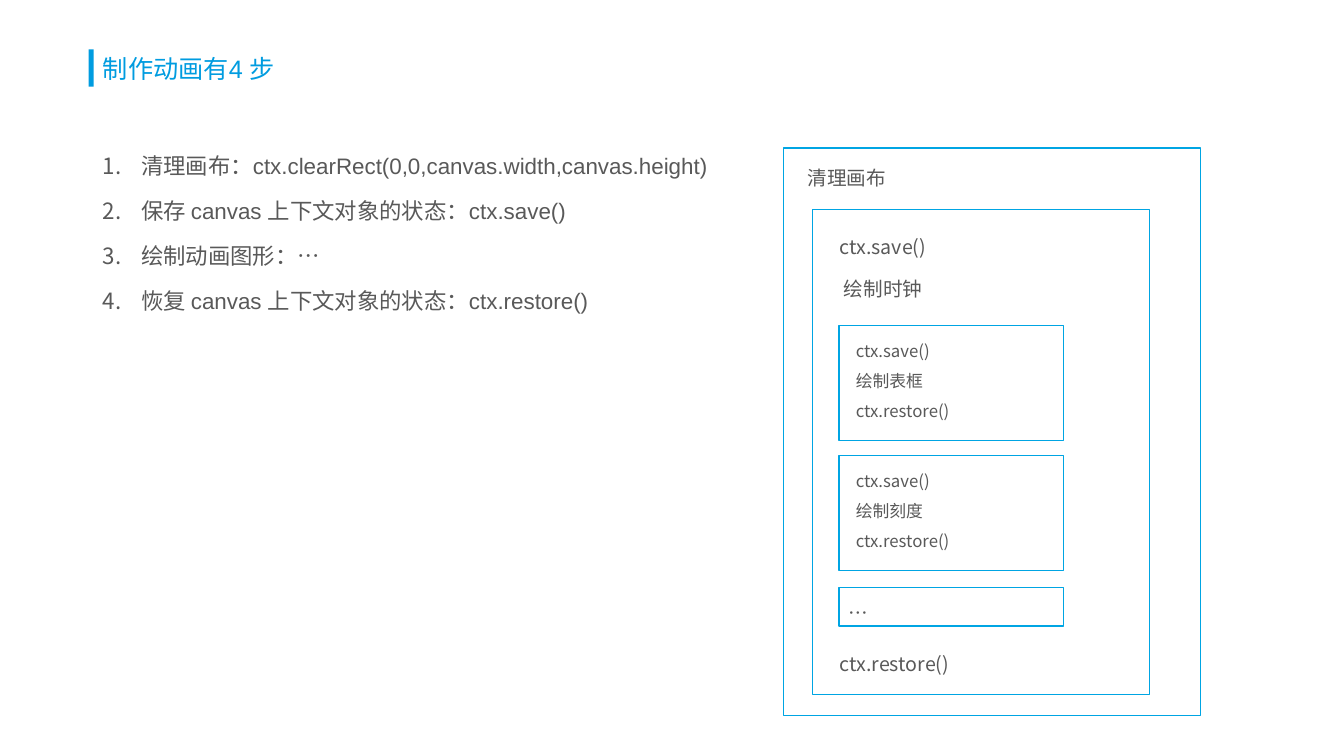
from lxml.etree import SubElement
from pptx import Presentation
from pptx.dml.color import RGBColor
from pptx.enum.shapes import MSO_SHAPE as Preset
from pptx.enum.text import MSO_ANCHOR as Anchor, MSO_AUTO_SIZE as AutoSize, PP_ALIGN as Align
from pptx.oxml.ns import qn
from pptx.util import Inches, Pt

COLORS = {"title": "009CE0", "outline": "00A5E3", "text": "595959"}
CJK_FONT = "Noto Sans CJK SC"
CELL = Inches(0.1)  # one column or row of the grid


class SlideBuilder:
    """Holds the style and the current slide; lengths are grid columns and rows."""

    def __init__(self, presentation):
        self.slide = presentation.slides.add_slide(presentation.slide_layouts[1])

    def place(self, shape, box):
        shape.left, shape.top, shape.width, shape.height = (round(n * CELL) for n in box)

    def add_lines(self, frame, lines, size, font=CJK_FONT, color="text", spacing=None):
        for index, line in enumerate(lines):
            paragraph = frame.paragraphs[0] if index == 0 else frame.add_paragraph()
            paragraph.alignment = Align.LEFT
            paragraph.line_spacing = spacing
            run = paragraph.add_run()
            run.text = line
            run.font.size = Pt(size)
            run.font.name = font
            run.font.color.rgb = RGBColor.from_string(COLORS[color])
            SubElement(run.font._element, qn("a:ea"), typeface=CJK_FONT)

    def title(self, text, box):
        shape = self.slide.shapes.title
        self.place(shape, box)
        shape.text_frame.auto_size = AutoSize.NONE
        shape.text_frame.vertical_anchor = Anchor.MIDDLE
        self.add_lines(shape.text_frame, [text], 18, "Arial", "title", 0.9)

    def numbered_list(self, lines, box):
        shape = self.slide.placeholders[1]
        self.place(shape, box)
        frame = shape.text_frame
        frame.auto_size = AutoSize.NONE
        self.add_lines(frame, lines, 16, "Arial", spacing=1.5)
        for paragraph in frame.paragraphs:
            paragraph.space_before = Pt(3.2)
            properties = paragraph._p.get_or_add_pPr()
            indent = Inches(0.38)
            properties.set("marL", str(indent))
            properties.set("indent", str(-indent))
            SubElement(properties, qn("a:buFont"), typeface=CJK_FONT)
            SubElement(properties, qn("a:buAutoNum"), type="arabicPeriod")

    def rectangle(self, box, fill=None):
        shape = self.slide.shapes.add_shape(Preset.RECTANGLE, 0, 0, 0, 0)
        self.place(shape, box)
        shape.shadow.inherit = False
        if fill:
            shape.fill.solid()
            shape.fill.fore_color.rgb = RGBColor.from_string(COLORS[fill])
            shape.line.fill.background()
        else:
            shape.fill.background()
            shape.line.color.rgb = RGBColor.from_string(COLORS["outline"])
            shape.line.width = Pt(1)
        return shape

    def label(self, lines, box, size=14, wrap=False, spacing=None):
        shape = self.slide.shapes.add_textbox(0, 0, 0, 0)
        self.place(shape, box)
        shape.text_frame.word_wrap = wrap
        shape.text_frame.auto_size = AutoSize.SHAPE_TO_FIT_TEXT
        self.add_lines(shape.text_frame, lines, size, spacing=spacing)


def main():
    presentation = Presentation()
    presentation.slide_width, presentation.slide_height = Inches(13.33), Inches(7.5)
    builder = SlideBuilder(presentation)

    # Title with its accent bar
    builder.rectangle((8.8, 4.9, 0.5, 3.7), "title")
    builder.title("制作动画有4 步", (9.2, 4, 115, 5.9))

    # The four steps
    builder.numbered_list([
        "清理画布：ctx.clearRect(0,0,canvas.width,canvas.height)",
        "保存 canvas 上下文对象的状态：ctx.save()",
        "绘制动画图形：…",
        "恢复 canvas 上下文对象的状态：ctx.restore()",
    ], (9.2, 13.3, 115, 54.3))

    # Nested frames: canvas, then clock
    builder.rectangle((77.7, 14.7, 41.4, 56.3))
    builder.rectangle((80.6, 20.8, 33.4, 48.1))
    for text, left, top, width in [
        ("清理画布", 79.1, 16, 10.5),
        ("ctx.save()", 82.3, 22.8, 10.7),
        ("绘制时钟", 82.7, 27, 9.9),
        ("ctx.restore()", 82.3, 64.2, 13.1),
    ]:
        builder.label([text], (left, top, width, 3.4))

    # Parts of the clock
    part_left, part_top, part_width, part_pitch = 83.2, 32.3, 22.3, 12.9
    for index, part in enumerate(["绘制表框", "绘制刻度"]):
        top = part_top + index * part_pitch
        builder.rectangle((part_left, top, part_width, 11.4))
        builder.label(["ctx.save()", part, "ctx.restore()"],
                      (part_left + 0.7, top, 11.3, 9.7), 12, True, 1.5)
    more = builder.rectangle((part_left, 58.3, part_width, 3.8))
    more.text_frame.vertical_anchor = Anchor.MIDDLE
    builder.add_lines(more.text_frame, ["…"], 14, spacing=1.5)

    presentation.save("out.pptx")


if __name__ == "__main__":
    main()
